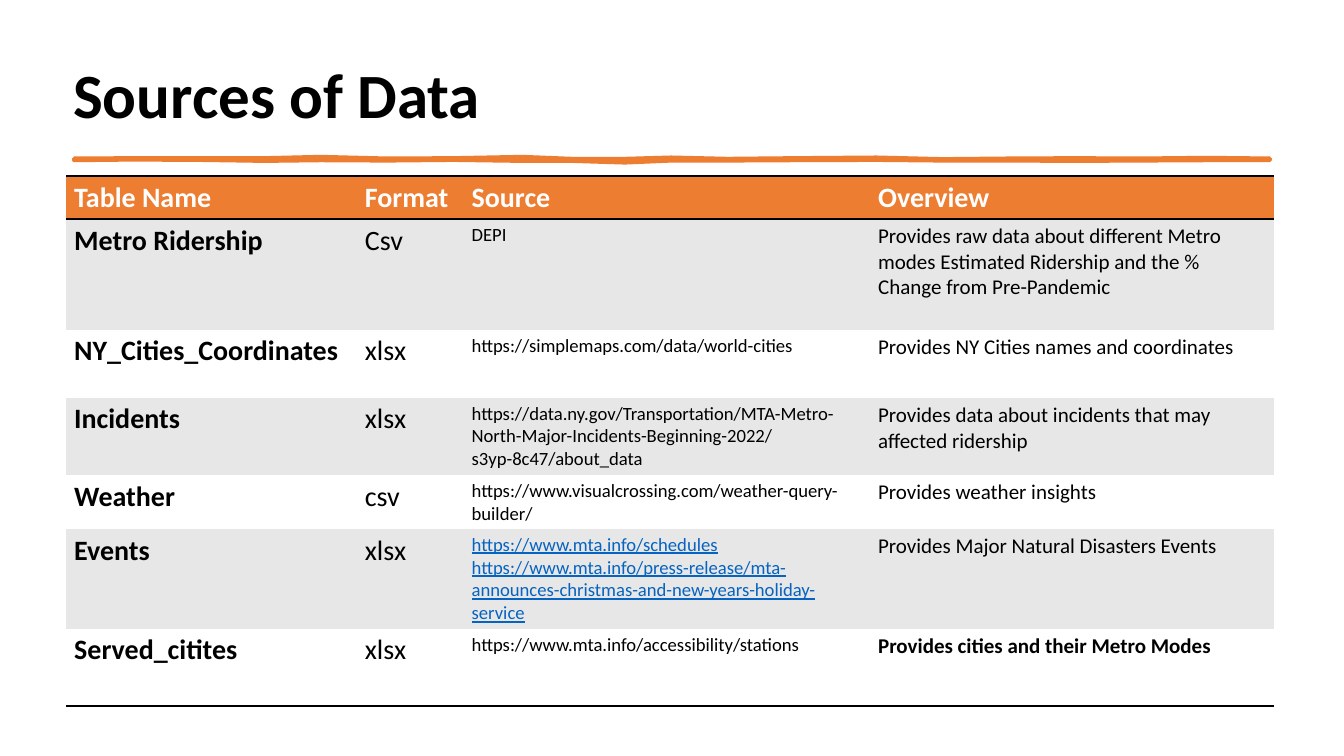
import pptx
import pptx.util
import pptx.dml.color
import pptx.enum.text
import lxml.etree

Cm = pptx.util.Cm
Pt = pptx.util.Pt
RGB = pptx.dml.color.RGBColor
ORANGE = RGB(0xED, 0x7D, 0x31)
GREY = RGB(0xE7, 0xE7, 0xE7)
WHITE = RGB(0xFF, 0xFF, 0xFF)
BLACK = RGB(0, 0, 0)
BLUE = RGB(0x05, 0x63, 0xC1)
NO_STYLE = "{2D5ABB26-0587-4C30-8999-92F81FD0307C}"
NS = "http://schemas.openxmlformats.org/drawingml/2006/main"


def add_run(para, text, size, color, bold):
    run = para.add_run()
    run.text = text
    font = run.font
    font.name = "Calibri"
    font.size = Pt(size)
    font.color.rgb = color
    font.bold = bold
    return run


def add_rule(cell, sides):
    """Draw a black 2 pt border on the given sides, in the order T, B."""
    props = cell._tc.get_or_add_tcPr()
    for spot, side in enumerate(sides):
        props.insert(spot, lxml.etree.fromstring(
            f'<a:ln{side} xmlns:a="{NS}" w="25400"><a:solidFill>'
            f'<a:srgbClr val="{BLACK}"/></a:solidFill></a:ln{side}>'))


deck = pptx.Presentation()
deck.slide_width = Cm(40.64)
deck.slide_height = Cm(22.86)
slide = deck.slides.add_slide(deck.slide_layouts[5])

# Title
title = slide.shapes.title
title.left, title.top, title.width, title.height = Cm(1.96), Cm(0.91), Cm(36.58), Cm(3.81)
title.text_frame.vertical_anchor = pptx.enum.text.MSO_ANCHOR.MIDDLE
para = title.text_frame.paragraphs[0]
para.alignment = pptx.enum.text.PP_ALIGN.LEFT
add_run(para, "Sources of Data", 54, BLACK, True)

# Brush stroke: x, upper edge, lower edge in cm
STROKE = [
    (2.24, 4.79, 4.85), (4, 4.78, 4.83), (6, 4.78, 4.84), (8, 4.78, 4.87),
    (9.7, 4.74, 4.85), (11.7, 4.79, 4.86), (13.7, 4.78, 4.84), (15.8, 4.74, 4.87),
    (17.3, 4.8, 4.87), (18.9, 4.8, 4.92), (20.3, 4.76, 4.86), (22, 4.8, 4.86),
    (24, 4.78, 4.85), (26.5, 4.76, 4.84), (28.5, 4.81, 4.86), (30.5, 4.79, 4.86),
    (32.5, 4.78, 4.87), (34.5, 4.79, 4.86), (36.5, 4.77, 4.85), (38.4, 4.79, 4.85),
]
edge = [(Cm(x), Cm(top)) for x, top, low in STROKE]
edge += [(Cm(x), Cm(low)) for x, top, low in reversed(STROKE)]
brush = slide.shapes.build_freeform(*edge[0])
brush.add_line_segments(edge[1:], close=True)
stroke = brush.convert_to_shape()
stroke.shadow.inherit = False
stroke.fill.solid()
stroke.fill.fore_color.rgb = ORANGE
stroke.line.color.rgb = ORANGE
stroke.line.width = Pt(3.25)

# Table
HEAD = ["Table Name", "Format", "Source", "Overview"]
ROWS = [
    ["Metro Ridership", "Csv", "DEPI",
     "Provides raw data about different Metro modes Estimated Ridership "
     "and the % Change from Pre-Pandemic"],
    ["NY_Cities_Coordinates", "xlsx", "https://simplemaps.com/data/world-cities",
     "Provides NY Cities names and coordinates"],
    ["Incidents", "xlsx",
     "https://data.ny.gov/Transportation/MTA-Metro-North-Major-Incidents-"
     "Beginning-2022/s3yp-8c47/about_data",
     "Provides data about incidents that may affected ridership"],
    ["Weather", "csv", "https://www.visualcrossing.com/weather-query-builder/",
     "Provides weather insights"],
    ["Events", "xlsx",
     "https://www.mta.info/schedules\n"
     "https://www.mta.info/press-release/"
     "mta-announces-christmas-and-new-years-holiday-service",
     "Provides Major Natural Disasters Events"],
    ["Served_citites", "xlsx", "https://www.mta.info/accessibility/stations",
     "Provides cities and their Metro Modes"],
]
WIDTHS = [8.79, 3.23, 12.29, 12.22]
HEIGHTS = [1.3, 3.35, 2.06, 2.33, 1.63, 3, 2.33]
SIZES = [24, 24, 16, 18]
last = len(ROWS)

frame = slide.shapes.add_table(last + 1, 4, Cm(1.99), Cm(5.33),
                               Cm(sum(WIDTHS)), Cm(sum(HEIGHTS)))
table = frame.table
table._tbl.tblPr[0].text = NO_STYLE
for col, width in zip(table.columns, WIDTHS):
    col.width = Cm(width)
for row, height in zip(table.rows, HEIGHTS):
    row.height = Cm(height)

for r, texts in enumerate([HEAD] + ROWS):
    for c, text in enumerate(texts):
        cell = table.cell(r, c)
        cell.fill.solid()
        cell.fill.fore_color.rgb = ORANGE if r == 0 else GREY if r % 2 else WHITE
        link = "\n" in text
        size = 24 if r == 0 else SIZES[c]
        color = WHITE if r == 0 else BLUE if link else BLACK
        bold = r == 0 or c == 0 or (r == last and c == 3)
        for n, line in enumerate(text.split("\n")):
            body = cell.text_frame
            para = body.add_paragraph() if n else body.paragraphs[0]
            add_run(para, line, size, color, bold).font.underline = link
        if r == 0:
            add_rule(cell, "TB")
        elif r == last:
            add_rule(cell, "B")

deck.save("out.pptx")
